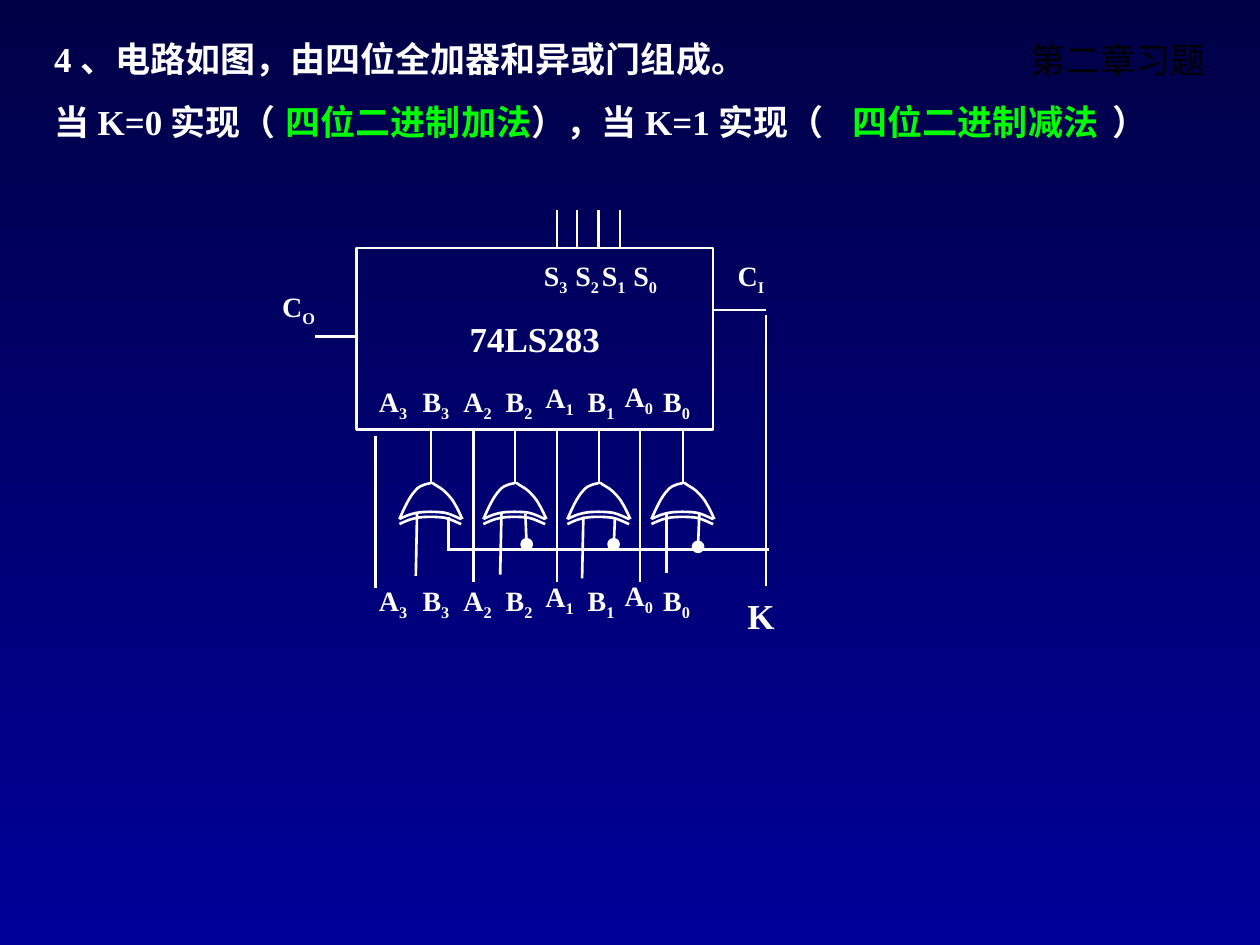
"""Build an exercise slide: a four-bit adder/subtractor from a 74LS283 and XOR gates."""
from dataclasses import dataclass

from lxml import etree
from pptx import Presentation, util as u
from pptx.dml.color import RGBColor
from pptx.enum import shapes, text
from pptx.oxml import ns

COLORS = {"ink": "FFFFFF", "answer": "00FF00", "heading": "000000", "top": "000047", "bottom": "000099"}
FONT = "Times New Roman"
GATE_COUNT, GATE_LEFT, GATE_PITCH = 4, 3.17, 2 / 3
CHIP_LEFT, CHIP_TOP, CHIP_WIDTH, CHIP_HEIGHT = 2.83, 1.97, 2.83, 1.44
CHIP_BOTTOM = 3.42
GATE_TOP = 3.83
PIN_ROWS = (0, 1.58)

ARC = ((0, 4.12), (0.02, 4.11), (0.08, 4.08), (0.14, 4.07), (0.19, 4.06), (0.3, 4.06),
       (0.36, 4.07), (0.41, 4.08), (0.46, 4.11), (0.49, 4.12))
RIGHT_SIDE = ((0.5, 4.12), (0.49, 4.1), (0.46, 4.03), (0.44, 4), (0.42, 3.96), (0.39, 3.93),
              (0.36, 3.9), (0.33, 3.87), (0.28, 3.85), (0.26, GATE_TOP))
LEFT_SIDE = ((0, 4.12), (0.04, 4.03), (0.08, 3.94), (0.13, 3.89), (0.17, 3.84), (0.24, 3.84),
             (0.26, GATE_TOP))
SECOND_ARC = tuple((x, y + 0.04) for x, y in ARC)


@dataclass(frozen=True)
class Wire:
    x1: float
    y1: float
    x2: float
    y2: float


@dataclass(frozen=True)
class Pin:
    name: str
    index: str
    left: float
    top: float


@dataclass(frozen=True)
class Phrase:
    words: str
    gap_after: float = 0


QUESTION = (
    (Phrase("4、电路如图，由四位全加器和异或门组成。"),),
    (Phrase("当K=0实现"), Phrase("（", 146), Phrase("），当K=1实现"), Phrase("（", 165), Phrase("）")),
)
INPUT_PINS = [
    Pin("A", "3", 2.83, 3), Pin("B", "3", 3.17, 3), Pin("A", "2", 3.5, 3), Pin("B", "2", 3.83, 3),
    Pin("A", "1", 4.15, 2.97), Pin("B", "1", 4.48, 3), Pin("A", "0", 4.78, 2.96), Pin("B", "0", 5.08, 3),
]
OTHER_PINS = [
    Pin("S", "3", 4.12, 2), Pin("S", "2", 4.37, 2), Pin("S", "1", 4.58, 2), Pin("S", "0", 4.83, 2),
    Pin("C", "O", 2.08, 2.25), Pin("C", "I", 5.67, 2),
]
A_WIRES = [Wire(2.98, 3.46, 2.98, 4.67)] + [Wire(x, CHIP_BOTTOM, x, 4.62) for x in (3.76, 4.42, 5.08)]
SUM_WIRES = [Wire(x, 1.67, x, CHIP_TOP) for x in (4.42, 4.58, 4.75, 4.92)]
CARRY_WIRES = [Wire(5.67, 2.46, 6.08, 2.46), Wire(2.5, 2.67, CHIP_LEFT, 2.67)]
CONTROL_WIRES = [Wire(6.08, 2.5, 6.08, 4.65), Wire(3.55, 4.36, 6.1, 4.36)]
GATE_INPUT_WIRES = [
    Wire(3.31, 4.08, 3.3, 4.57), Wire(3.56, 4.1, 3.56, 4.36),
    Wire(3.98, 4.07, 3.97, 4.56), Wire(4.17, 4.08, 4.18, 4.34),
    Wire(4.63, 4.1, 4.62, 4.59), Wire(4.88, 4.12, 4.87, 4.37),
    Wire(5.29, 4.06, 5.29, 4.55), Wire(5.55, 4.08, 5.54, 4.34),
]
JUNCTIONS = [(4.14, 4.28), (4.83, 4.28), (5.5, 4.3)]


def rgb(key: str) -> RGBColor:
    return RGBColor.from_string(COLORS[key])


def style_line(line) -> None:
    line.color.rgb = rgb("ink")
    line.width = u.Pt(1.5)


def add_run(paragraph, words: str, size: float, color: str = "ink", bold: bool = True):
    run = paragraph.add_run()
    run.text = words
    run.font.size, run.font.bold, run.font.name = u.Pt(size), bold, FONT
    run.font.color.rgb = rgb(color)
    return run


def place(shape, left: float, top: float, width: float, height: float) -> None:
    shape.left, shape.top = u.Inches(left), u.Inches(top)
    shape.width, shape.height = u.Inches(width), u.Inches(height)


def add_label(slide, left: float, top: float, width: float, height: float, align):
    box = slide.shapes.add_textbox(*map(u.Inches, (left, top, width, height)))
    box.text_frame.word_wrap = True
    paragraph = box.text_frame.paragraphs[0]
    paragraph.alignment = align
    return paragraph


def add_pin(slide, pin: Pin, drop: float = 0) -> None:
    paragraph = add_label(slide, pin.left, pin.top + drop, 0.58, 0.41, text.PP_ALIGN.CENTER)
    add_run(paragraph, pin.name, 16)
    add_run(paragraph, pin.index, 16).font._element.set("baseline", "-25000")


def add_wire(slide, wire: Wire) -> None:
    connector = slide.shapes.add_connector(
        shapes.MSO_CONNECTOR.STRAIGHT, *map(u.Inches, (wire.x1, wire.y1, wire.x2, wire.y2)))
    style_line(connector.line)
    etree.SubElement(connector._element.spPr, ns.qn("a:effectLst"))


def add_curve(slide, knots, left: float) -> None:
    points = [(u.Inches(left + x), u.Inches(y)) for x, y in knots]
    builder = slide.shapes.build_freeform(*points[0])
    builder.add_line_segments(points[1:], close=False)
    curve = builder.convert_to_shape()
    segments = list(curve._element.iter(ns.qn("a:lnTo")))
    for start in range(0, len(segments), 3):
        bezier = etree.Element(ns.qn("a:cubicBezTo"))
        segments[start].addprevious(bezier)
        for segment in segments[start:start + 3]:
            bezier.append(segment[0])
            segment.getparent().remove(segment)
    curve.fill.background()
    curve.shadow.inherit = False
    style_line(curve.line)


def add_gate(slide, number: int) -> None:
    left = GATE_LEFT + number * GATE_PITCH
    add_wire(slide, Wire(left + 0.25, CHIP_BOTTOM, left + 0.25, GATE_TOP))
    for knots in (ARC, RIGHT_SIDE, LEFT_SIDE, SECOND_ARC):
        add_curve(slide, knots, left)


def add_chip(slide) -> None:
    chip = slide.shapes.add_shape(
        shapes.MSO_SHAPE.RECTANGLE, *map(u.Inches, (CHIP_LEFT, CHIP_TOP, CHIP_WIDTH, CHIP_HEIGHT)))
    chip.fill.background()
    chip.shadow.inherit = False
    style_line(chip.line)
    chip.text_frame.word_wrap = False
    add_run(chip.text_frame.paragraphs[0], "74LS283", 20)


def add_junction(slide, left: float, top: float) -> None:
    dot = slide.shapes.add_shape(shapes.MSO_SHAPE.OVAL, *map(u.Inches, (left, top, 0.08, 0.08)))
    dot.fill.solid()
    dot.fill.fore_color.rgb = rgb("ink")
    dot.shadow.inherit = False
    style_line(dot.line)


def fill_heading(heading) -> None:
    place(heading, 7.5, 0.25, 2.17, 0.44)
    heading.text_frame.auto_size = text.MSO_AUTO_SIZE.NONE
    paragraph = heading.text_frame.paragraphs[0]
    paragraph.alignment = text.PP_ALIGN.RIGHT
    add_run(paragraph, "第二章习题", 20, "heading", bold=False)


def fill_question(question) -> None:
    place(question, 0.33, 0.25, 9, 1.28)
    frame = question.text_frame
    frame.auto_size = text.MSO_AUTO_SIZE.NONE
    for number, sentence in enumerate(QUESTION):
        paragraph = frame.add_paragraph() if number else frame.paragraphs[0]
        properties = paragraph._p.get_or_add_pPr()
        properties.set("marL", "0")
        properties.set("indent", "0")
        etree.SubElement(properties, ns.qn("a:buNone"))
        paragraph.space_before = u.Pt(12 if number else 0)
        for phrase in sentence:
            run = add_run(paragraph, phrase.words, 20)
            if phrase.gap_after:
                run.font._element.set("spc", str(phrase.gap_after * 100))


def main() -> None:
    deck = Presentation()
    deck.slide_width, deck.slide_height = u.Inches(10), u.Inches(7.5)
    slide = deck.slides.add_slide(deck.slide_layouts[1])
    backdrop = slide.background.fill
    backdrop.gradient()
    backdrop.gradient_angle = 270
    for stop, key in zip(backdrop.gradient_stops, ("top", "bottom")):
        stop.color.rgb = rgb(key)
    fill_heading(slide.shapes.title)
    fill_question(slide.placeholders[1])
    for left, answer in ((2.17, "四位二进制加法"), (6.67, "四位二进制减法")):
        add_run(add_label(slide, left, 0.75, 2.17, 0.44, text.PP_ALIGN.LEFT), answer, 20, "answer")
    add_chip(slide)
    for wire in A_WIRES + SUM_WIRES + CARRY_WIRES + CONTROL_WIRES + GATE_INPUT_WIRES:
        add_wire(slide, wire)
    for number in range(GATE_COUNT):
        add_gate(slide, number)
    for junction in JUNCTIONS:
        add_junction(slide, *junction)
    for pin in OTHER_PINS:
        add_pin(slide, pin)
    for drop in PIN_ROWS:
        for pin in INPUT_PINS:
            add_pin(slide, pin, drop)
    add_run(add_label(slide, 5.83, 4.67, 0.42, 0.44, text.PP_ALIGN.CENTER), "K", 20)
    deck.save("out.pptx")


if __name__ == "__main__":
    main()
